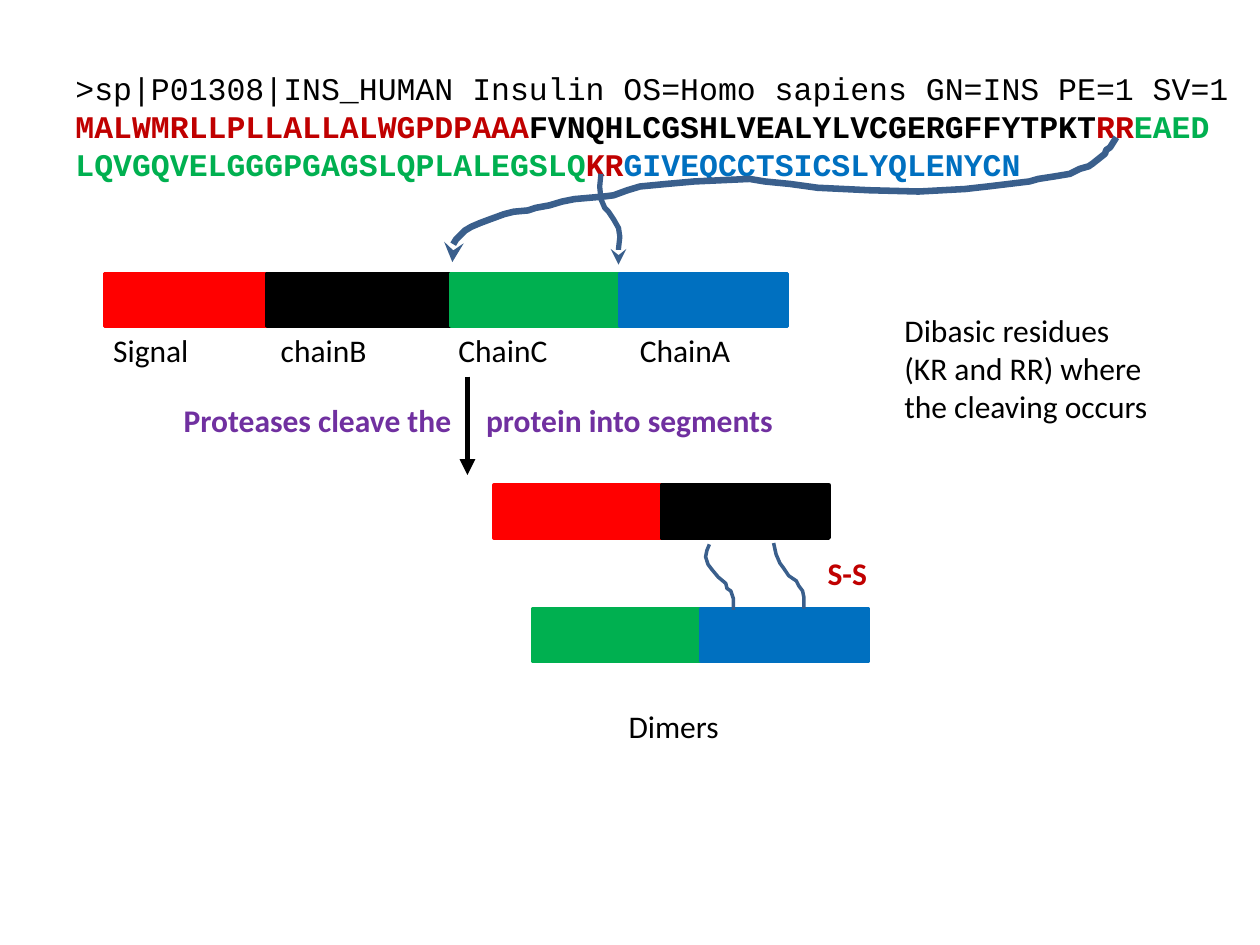
from lxml.etree import SubElement
from pptx import Presentation
from pptx.dml.color import RGBColor
from pptx.enum.shapes import MSO_CONNECTOR, MSO_SHAPE
from pptx.oxml.ns import qn
from pptx.util import Emu, Inches, Pt

BLACK = RGBColor(0, 0, 0)
RED = RGBColor(255, 0, 0)
GREEN = RGBColor(0, 0xB0, 0x50)
BLUE = RGBColor(0, 0x70, 0xC0)
CRIMSON = RGBColor(0xC0, 0, 0)
PURPLE = RGBColor(0x70, 0x30, 0xA0)
STEEL = RGBColor(0x3A, 0x5F, 0x8C)

# Each paragraph is a list of (text, colour, bold) runs.
FASTA = [
    [(">sp|P01308|INS_HUMAN Insulin OS=Homo sapiens GN=INS PE=1 SV=1", BLACK, False)],
    [("MALWMRLLPLLALLALWGPDPAAA", CRIMSON, True),
     ("FVNQHLCGSHLVEALYLVCGERGFFYTPKT", BLACK, True),
     ("RR", CRIMSON, True), ("EAED", GREEN, True)],
    [("LQVGQVELGGGPGAGSLQPLALEGSLQ", GREEN, True), ("KR", CRIMSON, True),
     ("GIVEQCCTSICSLYQLENYCN", BLUE, True)],
]
# Text, colour, bold, box (left, top, width, height), tab stops
NOTES = [
    ("Signal\tchainB\tChainC\tChainA", BLACK, False, (0.8, 2.58, 5.87, 0.4), (1.33, 2.74, 4.18)),
    ("Dimers", BLACK, False, (4.89, 5.56, 3.84, 0.4), ()),
    ("S-S", CRIMSON, True, (6.47, 4.35, 1.08, 0.4), ()),
    ("Dibasic residues (KR and RR) where the cleaving occurs", BLACK, False,
     (7.08, 2.42, 2.17, 1.01), ()),
    ("Proteases cleave the\tprotein into segments", PURPLE, True, (1.36, 3.13, 5.33, 0.4), (2.4,)),
]
# Left, top, then (width, colour) of each segment
CHAIN = (0.83, 2.17, [(1.29, RED), (1.46, BLACK), (1.34, GREEN), (1.33, BLUE)])
DIMER = [
    (3.92, 3.85, [(1.33, RED), (1.33, BLACK)]),
    (4.23, 4.83, [(1.33, GREEN), (1.33, BLUE)]),
]
BAR = 0.42
# Points of the hand-drawn strokes, in hundredths of an inch
RR_CUT = [
    (886, 109), (881, 117), (878, 119), (877, 122), (867, 130), (864, 132), (857, 134),
    (849, 138), (837, 140), (824, 142), (817, 144), (784, 148), (766, 150), (729, 152),
    (690, 151), (649, 149), (627, 146), (607, 144), (595, 142), (551, 144), (529, 146),
    (508, 148), (498, 151), (487, 155), (479, 156), (456, 158), (446, 160), (436, 163),
    (425, 165), (419, 167), (408, 168), (400, 170), (389, 174), (381, 177), (374, 180),
    (369, 183), (365, 187), (362, 190), (359, 195), (358, 201), (359, 208)]
KR_CUT = [
    (477, 138), (476, 148), (477, 158), (480, 165), (483, 168), (487, 174),
    (491, 181), (492, 188), (491, 197), (491, 210)]
BONDS = [
    [(563, 432), (561, 437), (560, 442), (562, 448), (565, 452), (570, 458), (576, 463),
     (577, 467), (580, 469), (582, 475), (582, 484)],
    [(614, 431), (616, 440), (619, 447), (622, 451), (626, 457), (632, 461),
     (634, 465), (637, 469), (638, 474), (638, 483)],
]


def write(shapes, lines, box, font="Calibri", tabs=()):
    frame = shapes.add_textbox(*map(Inches, box)).text_frame
    frame.word_wrap = True
    for i, runs in enumerate(lines):
        para = frame.add_paragraph() if i else frame.paragraphs[0]
        if tabs:
            stops = SubElement(para._p.get_or_add_pPr(), qn("a:tabLst"))
            for tab in tabs:
                SubElement(stops, qn("a:tab"), pos=str(Inches(tab)), algn="l")
        for text, color, bold in runs:
            run = para.add_run()
            run.text = text
            run.font.name, run.font.size, run.font.bold = font, Pt(18), bold
            run.font.color.rgb = color


def bars(shapes, left, top, parts):
    """Draw segments end to end from left."""
    for width, color in parts:
        bar = shapes.add_shape(MSO_SHAPE.RECTANGLE, *map(Inches, (left, top, width, BAR)))
        bar.shadow.inherit = False
        bar.fill.solid()
        bar.fill.fore_color.rgb = bar.line.color.rgb = color
        bar.line.width = Pt(2)
        left += width


def ink(shape, color, width, head=None):
    """Set the line of a stroke, with an arrowhead at its end if named."""
    shape.line.color.rgb = color
    shape.line.width = Pt(width)
    if head:
        SubElement(shape.line._get_or_add_ln(), qn("a:tailEnd"), type=head)


def stroke(shapes, points, width, head=None):
    pen = shapes.build_freeform(*points[0], scale=Emu(9144))
    pen.add_line_segments(points[1:], close=False)
    shape = pen.convert_to_shape()
    shape.shadow.inherit = False
    shape.fill.background()
    ink(shape, STEEL, width, head)


def main():
    deck = Presentation()
    deck.slide_width, deck.slide_height = Inches(10), Inches(7.5)
    shapes = deck.slides.add_slide(deck.slide_layouts[6]).shapes

    write(shapes, FASTA, (0.5, 0.5, 9.5, 1.01), "Courier New")
    bars(shapes, *CHAIN)
    arrow = shapes.add_connector(
        MSO_CONNECTOR.STRAIGHT, *map(Inches, (3.71, 2.99, 3.71, 3.77)))
    ink(arrow, BLACK, 3, "triangle")
    SubElement(arrow._element.spPr, qn("a:effectLst"))
    stroke(shapes, RR_CUT, 3.75, "stealth")
    stroke(shapes, KR_CUT, 3, "stealth")

    group = shapes.add_group_shape().shapes
    for row in DIMER:
        bars(group, *row)
    for bond in BONDS:
        stroke(group, bond, 2)

    for text, color, bold, box, tabs in NOTES:
        write(shapes, [[(text, color, bold)]], box, tabs=tabs)
    deck.save("out.pptx")


if __name__ == "__main__":
    main()
